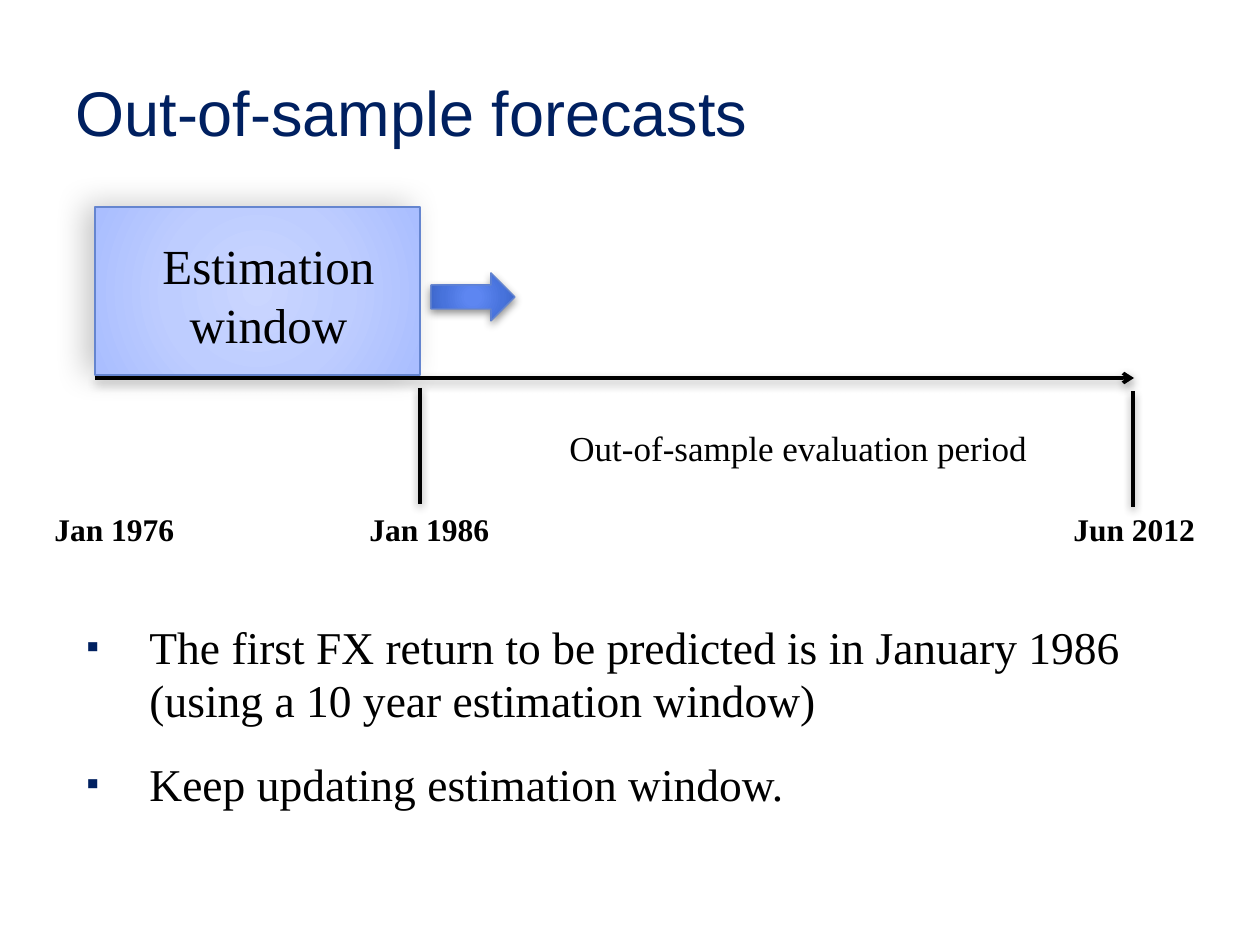
from lxml.etree import SubElement
from pptx import Presentation
from pptx.dml.color import RGBColor
from pptx.enum.shapes import MSO_CONNECTOR, MSO_SHAPE
from pptx.enum.text import MSO_ANCHOR, PP_ALIGN
from pptx.oxml import parse_xml
from pptx.oxml.ns import nsdecls, qn
from pptx.util import Pt

PX = 914400 / 126
NAVY = RGBColor(0x00, 0x20, 0x60)
BLACK = RGBColor(0x00, 0x00, 0x00)
EDGE = RGBColor(0x65, 0x85, 0xCF)
WINDOW_STOPS = [
    (0, RGBColor(0xCA, 0xD6, 0xFF)),
    (50, RGBColor(0xBE, 0xCD, 0xFF)),
    (97, RGBColor(0xAA, 0xBE, 0xFF)),
    (100, RGBColor(0xA4, 0xB9, 0xFF)),
]
ARROW_STOPS = [
    (0, RGBColor(0x5D, 0x86, 0xF2)),
    (15, RGBColor(0x5D, 0x86, 0xF1)),
    (62, RGBColor(0x48, 0x73, 0xDC)),
    (97, RGBColor(0x3B, 0x64, 0xC7)),
    (100, RGBColor(0x34, 0x60, 0xC6)),
]


def emu(*lengths):
    """Turn px lengths into EMU."""
    return [round(length * PX) for length in lengths]


def write(frame, *lines, size, font="Times New Roman", color=BLACK, bold=False,
          align=PP_ALIGN.LEFT, anchor=MSO_ANCHOR.TOP):
    """Fill a text frame with one formatted paragraph per line."""
    frame.word_wrap = True
    frame.vertical_anchor = anchor
    for index, line in enumerate(lines):
        paragraph = frame.add_paragraph() if index else frame.paragraphs[0]
        paragraph.alignment = align
        run = paragraph.add_run()
        run.text = line
        run.font.size = Pt(size)
        run.font.name = font
        run.font.color.rgb = color
        run.font.bold = bold
    return frame.paragraphs


def add_label(slide, left, top, width, height, *lines, **style):
    """Add a text box and return its paragraphs."""
    box = slide.shapes.add_textbox(*emu(left, top, width, height))
    return write(box.text_frame, *lines, **style)


def cast_shadow(shape, alpha=43, blur=5, distance=2, angle=90):
    """Give a shape or connector a soft black shadow."""
    effects = SubElement(shape._element.spPr, qn("a:effectLst"))
    effects.append(parse_xml(
        f'<a:outerShdw {nsdecls("a")} blurRad="{Pt(blur)}" dist="{Pt(distance)}" '
        f'dir="{angle * 60000}" rotWithShape="0"><a:srgbClr val="{BLACK}">'
        f'<a:alpha val="{alpha * 1000}"/></a:srgbClr></a:outerShdw>'))


def add_block(slide, preset, left, top, width, height, stops, **shadow):
    """Add a preset shape with a radial gradient and a shadow."""
    block = slide.shapes.add_shape(preset, *emu(left, top, width, height))
    block.line.color.rgb = EDGE
    block.line.width = Pt(0.75)
    colors = "".join(f'<a:gs pos="{position * 1000}"><a:srgbClr val="{color}"/></a:gs>'
                     for position, color in stops)
    geometry = block._element.spPr.find(qn("a:prstGeom"))
    geometry.addnext(parse_xml(
        f'<a:gradFill {nsdecls("a")} rotWithShape="1"><a:gsLst>{colors}</a:gsLst>'
        '<a:path path="circle"><a:fillToRect l="100000" t="100000" r="100000" b="100000"/>'
        '</a:path></a:gradFill>'))
    cast_shadow(block, **shadow)


def add_rule(slide, x1, y1, x2, y2, arrow=False):
    """Add a straight black line, with an arrowhead at its end if asked."""
    rule = slide.shapes.add_connector(MSO_CONNECTOR.STRAIGHT, *emu(x1, y1, x2, y2))
    rule.line.color.rgb = BLACK
    rule.line.width = Pt(2)
    if arrow:
        SubElement(rule.line._get_or_add_ln(), qn("a:tailEnd"), type="arrow")
    cast_shadow(rule)


def add_title(slide, left, top, width, height, text):
    """Place and format the title placeholder."""
    title = slide.shapes.title
    title.left, title.top, title.width, title.height = emu(left, top, width, height)
    write(title.text_frame, text, size=36, font="Arial", color=NAVY,
          anchor=MSO_ANCHOR.MIDDLE)


def add_timeline(slide, left, top, width, height):
    """Draw the estimation window, the time axis and its dates."""
    axis = top + 171
    window = 325
    add_rule(slide, left, axis, left + width, axis, arrow=True)
    add_block(slide, MSO_SHAPE.RECTANGLE, left, top, window, 168, WINDOW_STOPS,
              alpha=22, blur=18, distance=6, angle=195)
    add_block(slide, MSO_SHAPE.RIGHT_ARROW, left + window + 11, top + 66, 84, 48,
              ARROW_STOPS)
    add_label(slide, left + 21, top + 22, 305, 131, "Estimation window", size=28,
              align=PP_ALIGN.CENTER)
    for tick, gap in ((window, 10), (width - 1, 13)):
        add_rule(slide, left + tick, axis + gap, left + tick, axis + gap + 116)
    add_label(slide, left + 462, axis + 42, 483, 55, "Out-of-sample evaluation period",
              size=20)
    for offset, date in ((-53, "Jan 1976"), (262, "Jan 1986"), (966, "Jun 2012")):
        add_label(slide, left + offset, top + height - 53, 189, 53, date, size=18, bold=True)


def add_bullets(slide, left, top, width, height, *points):
    """List the points with small square bullets."""
    box = slide.shapes.add_textbox(*emu(left, top, width, height))
    box.text_frame.margin_right = emu(100)[0]
    hanging = emu(63)[0]
    for paragraph in write(box.text_frame, *points, size=26):
        paragraph.line_spacing = Pt(30)
        paragraph.space_before = Pt(6)
        paragraph.space_after = Pt(12)
        properties = paragraph._p.get_or_add_pPr()
        properties.set("marL", str(emu(74)[0]))
        properties.set("indent", str(-hanging))
        SubElement(SubElement(properties, qn("a:buClr")), qn("a:srgbClr"), val=str(NAVY))
        SubElement(properties, qn("a:buSzPct"), val="80000")
        SubElement(properties, qn("a:buFont"), typeface="Arial")
        SubElement(properties, qn("a:buChar"), char="▪")


def main():
    """Build the slide and save it."""
    deck = Presentation()
    deck.slide_width, deck.slide_height = emu(1260, 945)
    slide = deck.slides.add_slide(deck.slide_layouts[5])
    add_title(slide, 63, 32, 1104, 158, "Out-of-sample forecasts")
    add_bullets(slide, 63, 615, 1229, 278,
                "The first FX return to be predicted is in January 1986 "
                "(using a 10 year estimation window)",
                "Keep updating estimation window.")
    add_timeline(slide, 95, 207, 1039, 350)
    deck.save("out.pptx")


if __name__ == "__main__":
    main()
